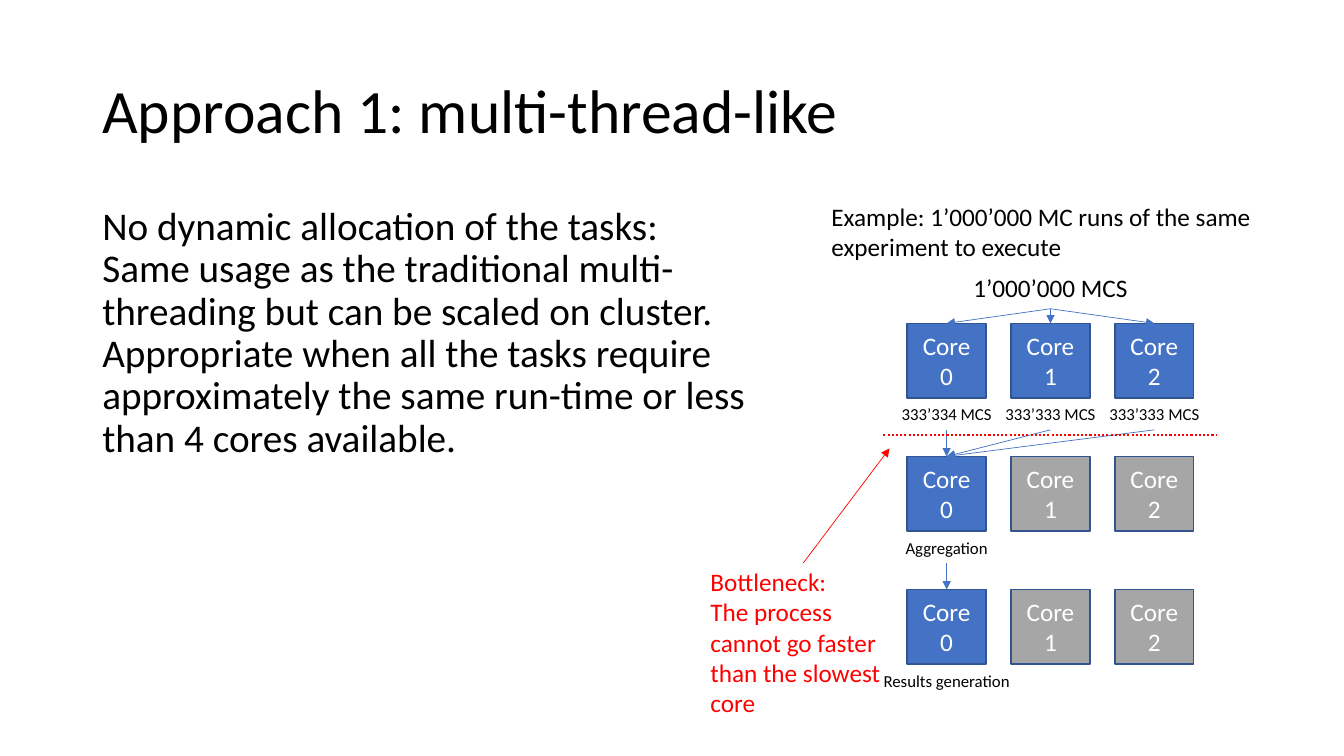
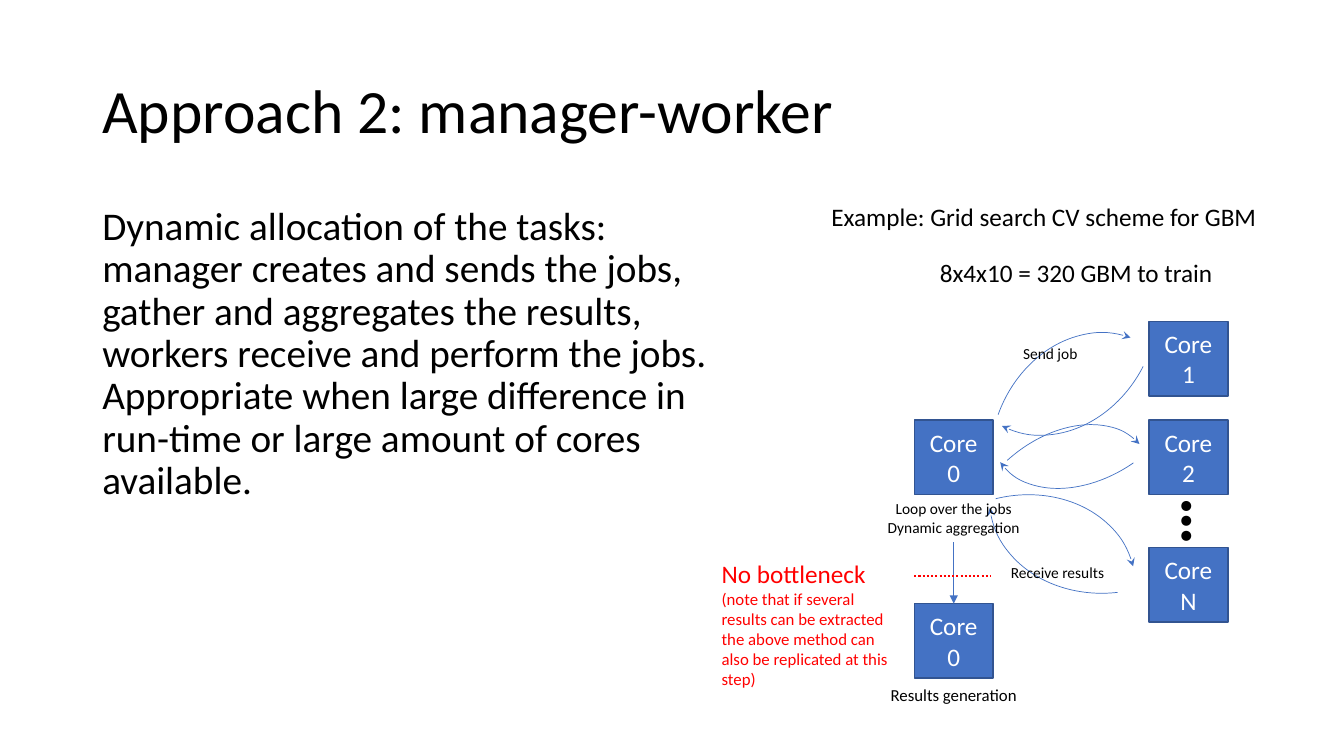
from dataclasses import dataclass

from lxml.etree import SubElement
from pptx import Presentation
from pptx.dml.color import RGBColor
from pptx.enum.dml import MSO_LINE
from pptx.enum.shapes import MSO_CONNECTOR, MSO_SHAPE
from pptx.enum.text import MSO_ANCHOR, PP_ALIGN
from pptx.oxml.ns import qn
from pptx.util import Inches, Pt

COLORS = {
    "text": "000000",
    "core": "4472C4",
    "edge": "325491",
    "idle": "A6A6A6",
    "core_text": "FFFFFF",
    "alert": "FF0000",
}
FONT = "Calibri"
SLIDE_WIDTH, SLIDE_HEIGHT = 13.33, 7.5
CORE_WIDTH, CORE_HEIGHT = 0.76, 0.56
MIDDLE = CORE_WIDTH / 2
CAPTION_DROP = 0.57
RETURN_TURN = 187.3


@dataclass
class Grid:
    left: float
    top: float
    column: float
    row: float

    def point(self, x, y):
        return Inches(self.left + x * self.column), Inches(self.top + y * self.row)

    def box(self, x, y, columns, rows):
        return (*self.point(x, y), Inches(columns * self.column), Inches(rows * self.row))

    def core_grid(self, x, y):
        return Grid(self.left + x * self.column, self.top + y * self.row, 1.03, 1.32)


PAGE = Grid(0, 0, SLIDE_WIDTH / 160, SLIDE_HEIGHT / 90)


def color(name):
    return RGBColor.from_string(COLORS[name])


def style_font(font, size, ink="text", bold=False):
    font.name = FONT
    font.size = Pt(size)
    font.bold = bold
    font.color.rgb = color(ink)


def add_text(slide, box, lines, size, ink="text", align=PP_ALIGN.LEFT, wrap=True):
    frame = slide.shapes.add_textbox(*box).text_frame
    frame.word_wrap = wrap
    for index, line in enumerate(lines):
        paragraph = frame.add_paragraph() if index else frame.paragraphs[0]
        paragraph.text = line
        paragraph.alignment = align
        style_font(paragraph.font, size, ink)
    return frame


def add_label(slide, grid, center, y, lines, size=12, columns=1.08, rows=0.23):
    box = grid.box(center - columns / 2, y, columns, rows)
    add_text(slide, box, lines, size, align=PP_ALIGN.CENTER, wrap=False)
    return slide.shapes[-1]


def add_caption(slide, grid, x, y, caption, columns=1.08):
    return add_label(slide, grid, x + MIDDLE, y + CAPTION_DROP, [caption], columns=columns)


def add_core(slide, grid, x, y, name, fill="core"):
    core = slide.shapes.add_shape(MSO_SHAPE.RECTANGLE, *grid.box(x, y, CORE_WIDTH, CORE_HEIGHT))
    core.shadow.inherit = False
    core.fill.solid()
    core.fill.fore_color.rgb = color(fill)
    core.line.color.rgb = color("edge")
    core.line.width = Pt(1)
    frame = core.text_frame
    frame.word_wrap = True
    frame.vertical_anchor = MSO_ANCHOR.MIDDLE
    paragraph = frame.paragraphs[0]
    paragraph.text = f"Core {name}"
    paragraph.alignment = PP_ALIGN.CENTER
    style_font(paragraph.font, 18, "core_text")
    return core


def add_arrowhead(line, head):
    SubElement(line.line._get_or_add_ln(), qn("a:tailEnd"), type=head)


def add_line(slide, start, end, ink="core", width=0.5, head=None, dash=None):
    line = slide.shapes.add_connector(MSO_CONNECTOR.STRAIGHT, *start, *end)
    line.line.color.rgb = color(ink)
    line.line.width = Pt(width)
    if dash:
        line.line.dash_style = dash
    if head:
        add_arrowhead(line, head)
    SubElement(line._element.spPr, qn("a:effectLst"))
    return line


def add_flow(slide, source, target):
    flow = add_line(slide, (0, 0), (0, 0), head="triangle")
    flow.begin_connect(source, 2)
    flow.end_connect(target, 0)


def add_barrier(slide, grid, start, end, y):
    add_line(slide, grid.point(start, y), grid.point(end, y), "alert", 1.5, dash=MSO_LINE.ROUND_DOT)


def add_exchange(slide, grid, send_center, return_center, size, turn):
    exchange = slide.shapes.add_group_shape()
    columns, rows = size
    for (x, y), rotation in ((send_center, turn), (return_center, turn + RETURN_TURN)):
        box = grid.box(x - columns / 2, y - rows / 2, columns, rows)
        arc = exchange.shapes.add_shape(MSO_SHAPE.ARC, *box)
        arc.shadow.inherit = False
        arc.rotation = rotation % 360
        arc.fill.background()
        arc.line.color.rgb = color("core")
        arc.line.width = Pt(0.5)
        add_arrowhead(arc, "stealth")


def add_approach(deck, title, description, example):
    slide = deck.slides.add_slide(deck.slide_layouts[6])
    heading = add_text(slide, PAGE.box(11, 4.8, 138, 17.4), [title], 44)
    heading.vertical_anchor = MSO_ANCHOR.MIDDLE
    body = add_text(slide, PAGE.box(11, 24, 79.2, 57.1), [description], 28)
    body.paragraphs[0].space_before = Pt(10)
    for frame in (heading, body):
        frame.paragraphs[0].line_spacing = 0.9
    add_text(slide, PAGE.box(97.8, 23.4, 54.4, 8.5), [example], 18)
    return slide


def draw_multi_thread(slide, grid):
    total = add_label(slide, grid, 1 + MIDDLE, -0.42, ["1’000’000 MCS"], 18, 1.7, 0.31)
    stages = [
        [
            add_core(slide, grid, x, y, x, "idle" if x and y else "core")
            for x in range(3)
        ]
        for y in range(3)
    ]
    lead_cores = [stage[0] for stage in stages]
    for x, share in enumerate(("333’334 MCS", "333’333 MCS", "333’333 MCS")):
        count = add_caption(slide, grid, x, 0, share)
        add_flow(slide, total, stages[0][x])
        add_flow(slide, count, lead_cores[1])
    aggregation = add_caption(slide, grid, 0, 1, "Aggregation")
    add_flow(slide, aggregation, lead_cores[2])
    add_caption(slide, grid, 0, 2, "Results generation", 1.43)
    add_line(slide, grid.point(-1, 1.8), grid.point(-0.17, 0.94), "alert", head="triangle")
    add_text(
        slide,
        grid.box(-1.99, 1.79, 1.83, 1.23),
        ["Bottleneck:", "The process cannot go faster than the slowest core"],
        18,
        "alert",
    )
    add_barrier(slide, grid, -0.23, 2.98, 0.84)


def draw_manager_worker(slide, grid):
    worker_column, manager_row, result_row = 2.26, 0.74, 2.12
    add_label(slide, grid, 1.56, -0.52, ["8x4x10 = 320 GBM to train"], 18, 2.85, 0.3)
    add_core(slide, grid, 0, manager_row, 0)
    for name, y in (("1", 0), ("2", manager_row), ("N", 1.7)):
        add_core(slide, grid, worker_column, y, name)

    more_workers = add_text(slide, grid.box(2.5, 1.16, 0.66, 0.69), ["…"], 48, wrap=False)
    more_workers.paragraphs[0].font.bold = True
    slide.shapes[-1].rotation = 90

    wide, narrow = (2.26, 1.48), (2.1, 1.15)
    add_exchange(slide, grid, (1.7, 0.95), (1.36, 0), wide, 289.8)
    add_exchange(slide, grid, (1.39, 1.47), (1.69, 0.59), narrow, 317.9)
    add_exchange(slide, grid, (1.01, 2.05), (1.85, 1.3), wide, 346.2)
    add_label(slide, grid, 1.31, 0.13, ["Send job"], 11, 0.72)
    add_label(slide, grid, 1.38, 1.78, ["Receive results"], 11, 1.11)

    loop = add_label(
        slide, grid, MIDDLE, 1.3, ["Loop over the jobs", "Dynamic aggregation"], 11, 1.66, 0.36
    )
    result_core = add_core(slide, grid, 0, result_row, 0)
    add_flow(slide, loop, result_core)
    add_caption(slide, grid, 0, result_row, "Results generation", 1.43)
    add_barrier(slide, grid, 0, 0.73, 1.91)

    note = add_text(slide, grid.box(-1.95, 1.74, 1.83, 1.07), ["No bottleneck "], 18, "alert")
    remark = note.paragraphs[0].add_run()
    remark.text = (
        "(note that if several results can be extracted the above method "
        "can also be replicated at this step)"
    )
    remark.font.size = Pt(12)


def main():
    deck = Presentation()
    deck.slide_width = Inches(SLIDE_WIDTH)
    deck.slide_height = Inches(SLIDE_HEIGHT)
    multi_thread = add_approach(
        deck,
        "Approach 1: multi-thread-like",
        "No dynamic allocation of the tasks: Same usage as the traditional "
        "multi-threading but can be scaled on cluster. Appropriate when all the tasks "
        "require approximately the same run-time or less than 4 cores available.",
        "Example: 1’000’000 MC runs of the same experiment to execute",
    )
    draw_multi_thread(multi_thread, PAGE.core_grid(108, 38.5))
    manager_worker = add_approach(
        deck,
        "Approach 2: manager-worker",
        "Dynamic allocation of the tasks: manager creates and sends the jobs, gather and "
        "aggregates the results, workers receive and perform the jobs. Appropriate when "
        "large difference in run-time or large amount of cores available.",
        "Example: Grid search CV scheme for GBM",
    )
    draw_manager_worker(manager_worker, PAGE.core_grid(108.84, 38.28))
    deck.save("out.pptx")


if __name__ == "__main__":
    main()
